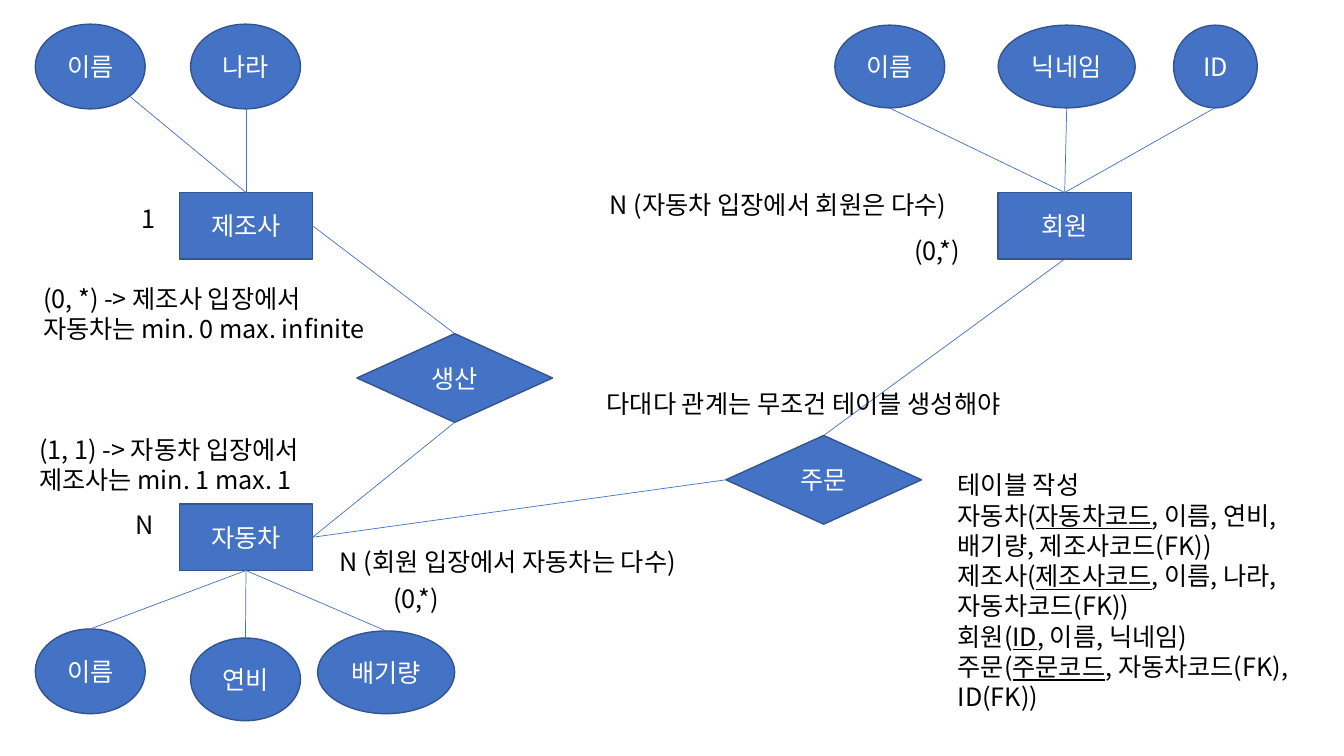
from lxml import etree
from pptx import Presentation
from pptx.dml.color import RGBColor
from pptx.enum.shapes import MSO_CONNECTOR, MSO_SHAPE
from pptx.enum.text import MSO_ANCHOR, MSO_AUTO_SIZE, PP_ALIGN
from pptx.oxml.ns import qn
from pptx.util import Inches, Pt

BLUE = RGBColor(0x44, 0x72, 0xC4)
OUTLINE = RGBColor(0x32, 0x54, 0x91)
WHITE = RGBColor(0xFF, 0xFF, 0xFF)
BLACK = RGBColor(0x00, 0x00, 0x00)
FONT = "Noto Sans CJK KR"
RECT, DIAMOND, OVAL = MSO_SHAPE.RECTANGLE, MSO_SHAPE.DIAMOND, MSO_SHAPE.OVAL
STRAIGHT = MSO_CONNECTOR.STRAIGHT
CENTER, MIDDLE = PP_ALIGN.CENTER, MSO_ANCHOR.MIDDLE
GROW = MSO_AUTO_SIZE.SHAPE_TO_FIT_TEXT
TOP, LEFT, BOTTOM, RIGHT = range(4)

prs = Presentation()
prs.slide_width, prs.slide_height = Inches(13.33), Inches(7.5)
s = prs.slides.add_slide(prs.slide_layouts[6])


def add_run(p, text, color, underline=None):
    r = p.add_run()
    r.text = text
    r.font.size = Pt(18)
    r.font.name = FONT
    r.font.color.rgb = color
    r.font.underline = underline
    etree.SubElement(r._r.get_or_add_rPr(), qn("a:ea")).set("typeface", FONT)


def add_line(x1, y1, x2, y2):
    line = s.shapes.add_connector(STRAIGHT, x1, y1, x2, y2)
    line.line.color.rgb = BLUE
    line.line.width = Pt(0.5)
    etree.SubElement(line._element.spPr, qn("a:effectLst"))
    return line


nodes = {}
for key, text, kind, x, y, w, h in [
    ("car", "자동차", RECT, 1.78, 5, 1.32, 0.66),
    ("maker", "제조사", RECT, 1.78, 1.91, 1.32, 0.66),
    ("member", "회원", RECT, 9.9, 1.91, 1.32, 0.66),
    ("produce", "생산", DIAMOND, 3.54, 3.31, 1.94, 0.88),
    ("order", "주문", DIAMOND, 7.2, 4.32, 1.94, 0.88),
    ("car name", "이름", OVAL, 0.35, 6.24, 1.09, 0.84),
    ("mileage", "연비", OVAL, 1.89, 6.33, 1.09, 0.82),
    ("engine", "배기량", OVAL, 3.15, 6.26, 1.36, 0.82),
    ("maker name", "이름", OVAL, 0.35, 0.24, 1.09, 0.84),
    ("country", "나라", OVAL, 1.89, 0.24, 1.09, 0.84),
    ("member name", "이름", OVAL, 8.28, 0.25, 1.09, 0.82),
    ("nickname", "닉네임", OVAL, 9.9, 0.25, 1.36, 0.82),
    ("id", "ID", OVAL, 11.64, 0.25, 0.83, 0.82),
]:
    sp = s.shapes.add_shape(kind, Inches(x), Inches(y), Inches(w), Inches(h))
    sp.shadow.inherit = False
    sp.fill.solid()
    sp.fill.fore_color.rgb = BLUE
    sp.line.color.rgb = OUTLINE
    sp.line.width = Pt(1)
    tf = sp.text_frame
    tf.vertical_anchor = MIDDLE
    p = tf.paragraphs[0]
    p.alignment = CENTER
    add_run(p, text, WHITE)
    nodes[key] = sp

for start, start_side, end, end_side in [
    ("car", BOTTOM, "car name", TOP),
    ("car", BOTTOM, "mileage", TOP),
    ("car", BOTTOM, "engine", TOP),
    ("maker", RIGHT, "produce", TOP),
    ("car", RIGHT, "produce", BOTTOM),
    ("member", BOTTOM, "order", TOP),
    ("car", RIGHT, "order", LEFT),
]:
    line = add_line(0, 0, 0, 0)
    line.begin_connect(nodes[start], start_side)
    line.end_connect(nodes[end], end_side)

for entity, x, y in [
    ("maker", 1.28, 0.95),
    ("maker", 2.44, 1.07),
    ("member", 8.82, 1.07),
    ("member", 10.58, 1.07),
    ("member", 12.05, 1.07),
]:
    line = add_line(Inches(x), Inches(y), Inches(x), Inches(y))
    line.end_connect(nodes[entity], TOP)

for x, y, w, h, paragraphs in [
    (1.31, 1.97, 1.02, 0.4, [["1"]]),
    (1.25, 5, 1.02, 0.4, [["N"]]),
    (0.29, 4.26, 3.14, 0.71, [["(1, 1) -> 자동차 입장에서"], ["제조사는 min. 1 max. 1"]]),
    (0.33, 2.76, 3.51, 0.71, [["(0, *) -> 제조사 입장에서"], ["자동차는 min. 0 max. infinite"]]),
    (3.27, 5.37, 4.08, 0.4, [["N (회원 입장에서 자동차는 다수)"]]),
    (5.95, 1.83, 4.08, 0.4, [["N (자동차 입장에서 회원은 다수)"]]),
    (5.92, 3.8, 4.66, 0.4, [["다대다 관계는 무조건 테이블 생성해야"]]),
    (3.8, 5.74, 0.86, 0.4, [["(0,*)"]]),
    (8.97, 2.29, 0.86, 0.4, [["(0,*)"]]),
    (9.4, 4.61, 3.58, 2.52, [
        ["테이블 작성"],
        ["자동차(", "자동차코드", ", 이름, 연비, 배기량, 제조사코드(FK))"],
        ["제조사(", "제조사코드", ", 이름, 나라, 자동차코드(FK))"],
        ["회원(", "ID", ", 이름, 닉네임)"],
        ["주문(", "주문코드", ", 자동차코드(FK), ID(FK))"],
    ]),
]:
    tf = s.shapes.add_textbox(Inches(x), Inches(y), Inches(w), Inches(h)).text_frame
    tf.word_wrap = True
    tf.auto_size = GROW
    for i, parts in enumerate(paragraphs):
        p = tf.add_paragraph() if i else tf.paragraphs[0]
        for j, part in enumerate(parts):
            add_run(p, part, BLACK, True if j == 1 else None)

prs.save("out.pptx")
